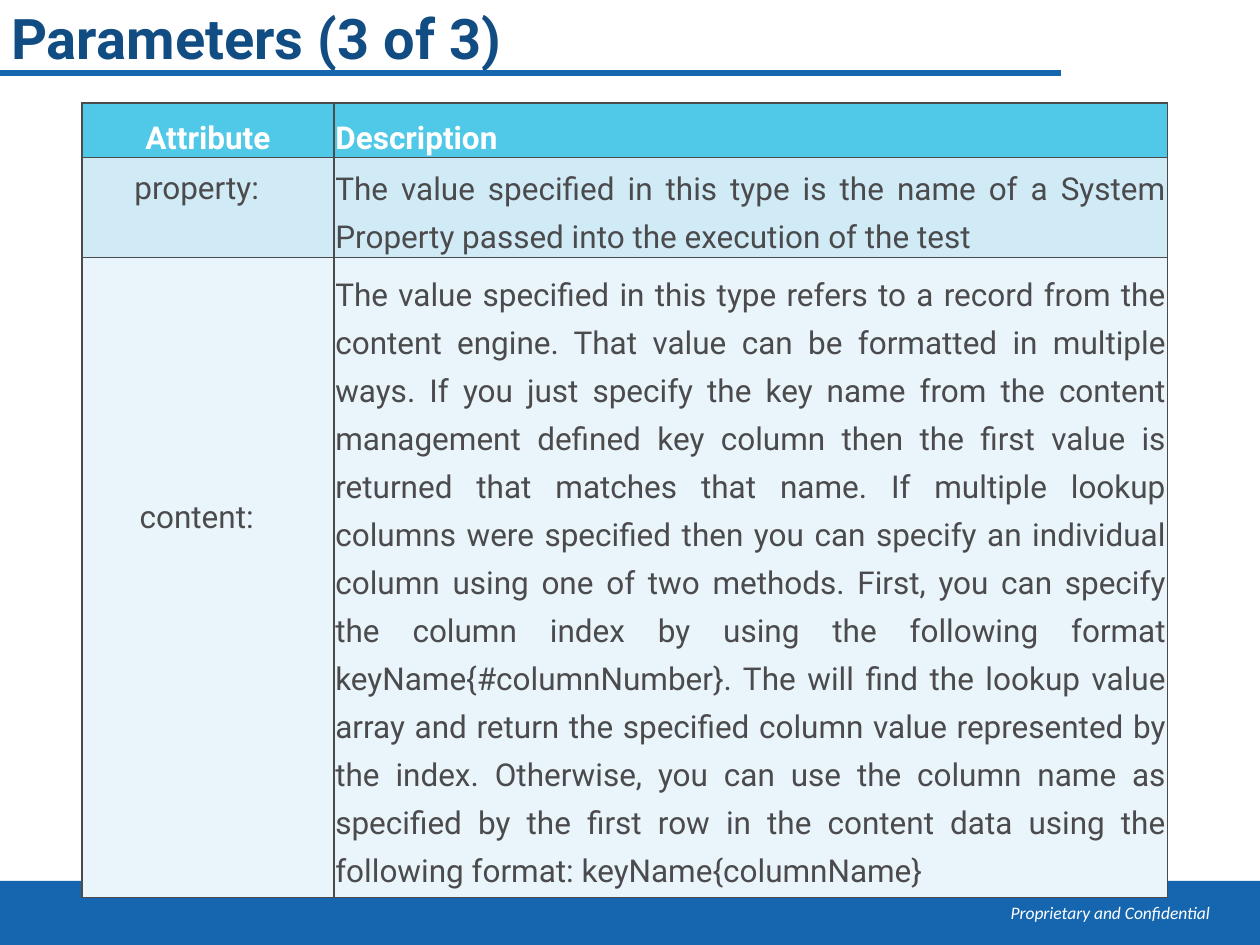
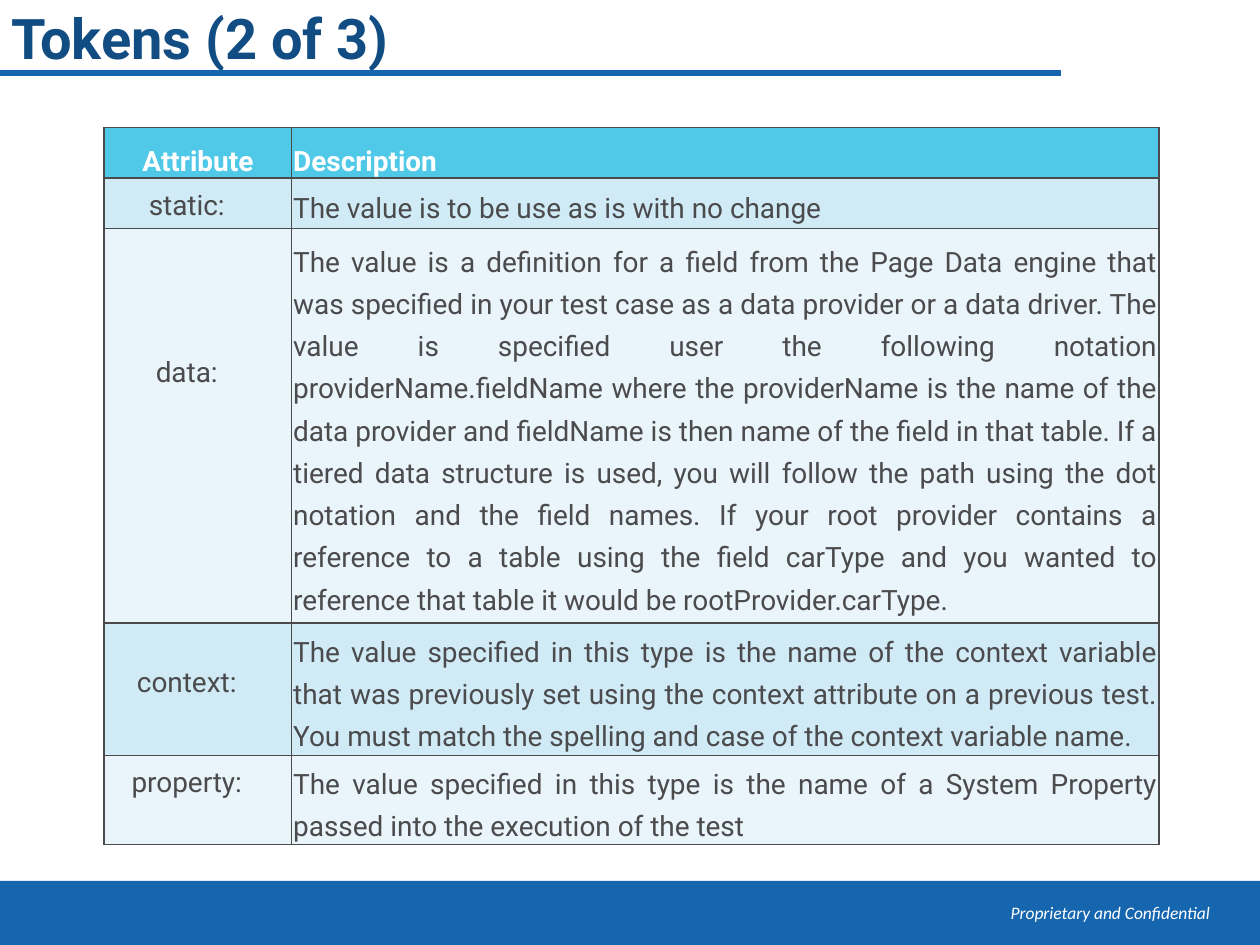
from lxml.etree import SubElement
from pptx import Presentation
from pptx.dml.color import RGBColor
from pptx.enum.shapes import MSO_CONNECTOR, MSO_SHAPE
from pptx.enum.text import MSO_ANCHOR, PP_ALIGN
from pptx.oxml.ns import qn
from pptx.util import Cm, Pt

COLORS = {
    "band": "1666AF",
    "title": "114C83",
    "head": "50C8E8",
    "odd": "D0EBF6",
    "even": "E9F5FB",
    "ink": "4B4A4C",
    "white": "FFFFFF",
}
WIDTH, HEIGHT = 25.4, 19.05
PROPERTY = ("The value specified in this type is the name of a System Property "
            "passed into the execution of the test")

# Each row: attribute, description, row height in cm, drop of the attribute in cm
PAGES = [
    {
        "title": "Parameters (3 of 3)",
        "left": 1.65, "top": 2.08, "cols": (5.08, 16.81), "size": 18,
        "rows": [
            ("Attribute", "Description", 1.1, 0),
            ("property:", PROPERTY, 1.93, 0),
            ("content:",
             "The value specified in this type refers to a record from the content "
             "engine. That value can be formatted in multiple ways. If you just "
             "specify the key name from the content management defined key column "
             "then the first value is returned that matches that name. If multiple "
             "lookup columns were specified then you can specify an individual "
             "column using one of two methods. First, you can specify the column "
             "index by using the following format keyName{#columnNumber}. The will "
             "find the lookup value array and return the specified column value "
             "represented by the index. Otherwise, you can use the column name as "
             "specified by the first row in the content data using the following "
             "format: keyName{columnName}", 12.6, 4.62),
        ],
    },
    {
        "title": "Tokens (2 of 3)",
        "left": 2.1, "top": 2.57, "cols": (3.78, 17.48), "size": 16,
        "rows": [
            ("Attribute", "Description", 1.02, 0),
            ("static:", "The value is to be use as is with no change", 1.02, 0),
            ("data:",
             "The value is a definition for a field from the Page Data engine that "
             "was specified in your test case as a data provider or a data driver. "
             "The value is specified user the following notation "
             "providerName.fieldName where the providerName is the name of the data "
             "provider and fieldName is then name of the field in that table. If a "
             "tiered data structure is used, you will follow the path using the dot "
             "notation and the field names. If your root provider contains a "
             "reference to a table using the field carType and you wanted to "
             "reference that table it would be rootProvider.carType.", 7.7, 2.36),
            ("context:",
             "The value specified in this type is the name of the context variable "
             "that was previously set using the context attribute on a previous "
             "test. You must match the spelling and case of the context variable "
             "name.", 2.57, 0.65),
            ("property:", PROPERTY, 1.73, 0),
        ],
    },
]


def put(target, **values):
    for name, value in values.items():
        setattr(target, name, value)


def paint(color, key):
    color.rgb = RGBColor.from_string(COLORS[key])


class Deck:
    """Holds the shared style and the slide being built."""

    def __init__(self):
        self.prs = Presentation()
        put(self.prs, slide_width=Cm(WIDTH), slide_height=Cm(HEIGHT))
        self.slide = None

    def page(self, title):
        self.slide = self.prs.slides.add_slide(self.prs.slide_layouts[5])
        self.band()
        self.rule()
        self.title(title)

    def text(self, frame, words, color, align, spacing=1.0, **font):
        frame.word_wrap = True
        par = frame.paragraphs[0]
        put(par, alignment=align, line_spacing=spacing)
        run = par.add_run()
        run.text = words
        put(run.font, **font)
        paint(run.font.color, color)

    def title(self, words):
        shape = self.slide.shapes.title
        put(shape, left=Cm(-0.03), top=Cm(0.05), width=Cm(21.82), height=Cm(1.57))
        shape.text_frame.vertical_anchor = MSO_ANCHOR.MIDDLE
        self.text(shape.text_frame, words, "title", PP_ALIGN.LEFT, 0.88,
                  name="Roboto", size=Pt(32), bold=True)

    def band(self):
        top = 17.76
        bar = self.slide.shapes.add_shape(
            MSO_SHAPE.RECTANGLE, 0, Cm(top), Cm(WIDTH), Cm(HEIGHT - top))
        bar.shadow.inherit = False
        bar.fill.solid()
        paint(bar.fill.fore_color, "band")
        bar.line.fill.background()
        box = self.slide.shapes.add_textbox(Cm(18.67), Cm(18.06), Cm(5.97), Cm(0.81))
        self.text(box.text_frame, "Proprietary and Confidential", "white",
                  PP_ALIGN.RIGHT, name="Calibri", size=Pt(10), italic=True)

    def rule(self):
        line = self.slide.shapes.add_connector(
            MSO_CONNECTOR.STRAIGHT, 0, Cm(1.47), Cm(21.39), Cm(1.47))
        line.line.width = Pt(3)
        paint(line.line.color, "band")
        SubElement(line._element.spPr, qn("a:effectLst"))

    def border(self, cell):
        props = cell._tc.get_or_add_tcPr()
        for side in "LRTB":
            edge = SubElement(props, qn(f"a:ln{side}"), w=str(Pt(1)))
            fill = SubElement(edge, qn("a:solidFill"))
            SubElement(fill, qn("a:srgbClr"), val=COLORS["ink"])

    def cell(self, cell, words, fill, size, head, first, drop):
        self.border(cell)
        cell.fill.solid()
        paint(cell.fill.fore_color, fill)
        label = first and not head
        anchor = MSO_ANCHOR.MIDDLE
        if head:
            anchor = MSO_ANCHOR.BOTTOM
        elif first:
            anchor = MSO_ANCHOR.TOP
        put(cell, vertical_anchor=anchor, margin_left=Cm(0.03),
            margin_right=Cm(0.48 if label else 0.03),
            margin_top=Cm(0.03 + (drop if label else 0)), margin_bottom=0)
        self.text(cell.text_frame, words, "white" if head else "ink",
                  PP_ALIGN.CENTER if first else PP_ALIGN.JUSTIFY, 1.3,
                  name="Roboto", size=Pt(size), bold=head)

    def table(self, left, top, cols, size, rows):
        high = sum(row[2] for row in rows)
        grid = self.slide.shapes.add_table(
            len(rows), len(cols), Cm(left), Cm(top), Cm(sum(cols)), Cm(high)).table
        for col, width in zip(grid.columns, cols):
            col.width = Cm(width)
        for r, (*words, height, drop) in enumerate(rows):
            grid.rows[r].height = Cm(height)
            fill = "head" if r == 0 else ("even", "odd")[r % 2]
            for c, word in enumerate(words):
                self.cell(grid.cell(r, c), word, fill, size, r == 0, c == 0, drop)


def main():
    deck = Deck()
    for page in PAGES:
        deck.page(page["title"])
        deck.table(*(page[key] for key in ("left", "top", "cols", "size", "rows")))
    deck.prs.save("out.pptx")


if __name__ == "__main__":
    main()
